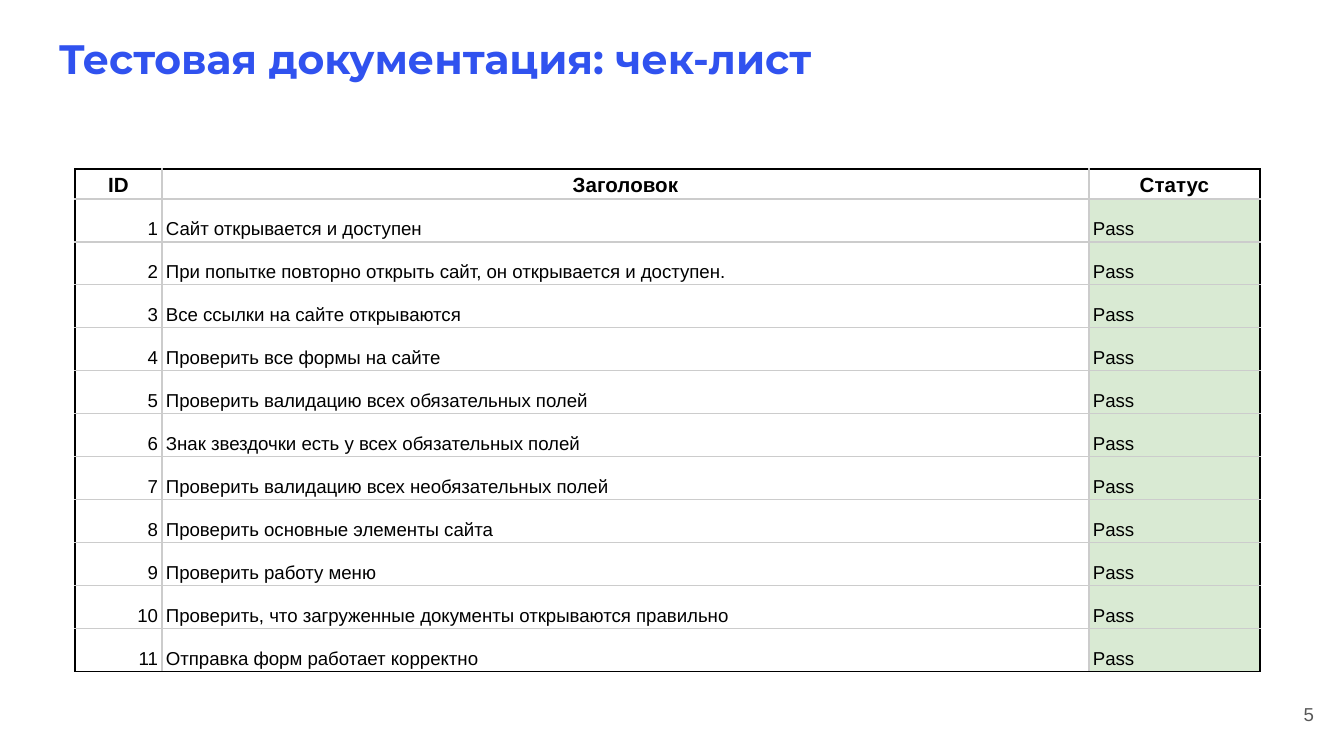
from dataclasses import dataclass

from lxml import etree
from pptx import Presentation
from pptx.dml.color import RGBColor
from pptx.enum.text import MSO_ANCHOR, PP_ALIGN
from pptx.oxml.ns import qn
from pptx.table import _Cell
from pptx.text.text import TextFrame
from pptx.util import Emu, Pt

LEFT, CENTER, RIGHT = PP_ALIGN.LEFT, PP_ALIGN.CENTER, PP_ALIGN.RIGHT
TOP, MIDDLE, BOTTOM = MSO_ANCHOR.TOP, MSO_ANCHOR.MIDDLE, MSO_ANCHOR.BOTTOM

BLUE = RGBColor(0x30, 0x52, 0xEF)
BLACK = RGBColor(0x00, 0x00, 0x00)
WHITE = RGBColor(0xFF, 0xFF, 0xFF)
GRAY = RGBColor(0x58, 0x58, 0x58)
LIGHT_GRAY = RGBColor(0xCC, 0xCC, 0xCC)
GREEN = RGBColor(0xD9, 0xEA, 0xD3)

PX_PER_INCH = 134.4
TITLE_ONLY_LAYOUT = 5
BOX_MARGIN = 13
HEADER_HEIGHT, ROW_HEIGHT = 30, 43
BORDER_WIDTH = Pt(0.75)


@dataclass(frozen=True)
class Column:
    heading: str
    width: int
    align: PP_ALIGN
    fill: RGBColor


COLUMNS = [
    Column("ID", 87, RIGHT, WHITE),
    Column("Заголовок", 927, LEFT, WHITE),
    Column("Статус", 171, LEFT, GREEN),
]
CHECKS = [
    "Сайт открывается и доступен",
    "При попытке повторно открыть сайт, он открывается и доступен.",
    "Все ссылки на сайте открываются",
    "Проверить все формы на сайте",
    "Проверить валидацию всех обязательных полей",
    "Знак звездочки есть у всех обязательных полей",
    "Проверить валидацию всех необязательных полей",
    "Проверить основные элементы сайта",
    "Проверить работу меню",
    "Проверить, что загруженные документы открываются правильно",
    "Отправка форм работает корректно",
]


def px(length: int) -> Emu:
    """Turn whole pixels into EMU."""
    return Emu(round(length * 914400 / PX_PER_INCH))


def write_text(frame: TextFrame, text: str, *, size: int, color: RGBColor,
               font: str = "Arial", bold: bool = False,
               align: PP_ALIGN = LEFT) -> None:
    """Write one formatted paragraph."""
    para = frame.paragraphs[0]
    para.alignment = align
    span = para.add_run()
    span.text = text
    span.font.name = font
    span.font.size = Pt(size)
    span.font.bold = bold
    span.font.color.rgb = color


def set_frame(frame: TextFrame, anchor: MSO_ANCHOR) -> None:
    """Set the wrapping, anchor and margins of a box."""
    frame.word_wrap = True
    frame.vertical_anchor = anchor
    frame.margin_left = frame.margin_right = px(BOX_MARGIN)
    frame.margin_top = frame.margin_bottom = px(BOX_MARGIN)


def draw_borders(cell: _Cell, outer_sides: dict[str, bool]) -> None:
    """Draw black borders on outer sides and gray ones inside."""
    properties = cell._tc.get_or_add_tcPr()
    for side, is_outer in outer_sides.items():
        line = etree.SubElement(properties, qn(f"a:ln{side}"), w=str(BORDER_WIDTH))
        fill = etree.SubElement(line, qn("a:solidFill"))
        color = BLACK if is_outer else LIGHT_GRAY
        etree.SubElement(fill, qn("a:srgbClr"), val=str(color))


def add_title(slide, text: str) -> None:
    """Place and fill the title placeholder."""
    title = slide.shapes.title
    title.left, title.top, title.width, title.height = map(px, (46, 20, 1252, 85))
    set_frame(title.text_frame, TOP)
    write_text(title.text_frame, text, size=22, color=BLUE,
               font="Montserrat", bold=True)


def add_page_number(slide, number: int) -> None:
    """Add the page number in the lower right corner."""
    box = slide.shapes.add_textbox(*map(px, (1277, 691, 50, 47)))
    set_frame(box.text_frame, MIDDLE)
    write_text(box.text_frame, str(number), size=10, color=GRAY, align=RIGHT)


def add_checklist(slide) -> None:
    """Add the checklist table."""
    rows = [[column.heading for column in COLUMNS]]
    rows += [[str(number), check, "Pass"] for number, check in enumerate(CHECKS, 1)]
    width = sum(column.width for column in COLUMNS)
    height = HEADER_HEIGHT + ROW_HEIGHT * len(CHECKS)
    table = slide.shapes.add_table(
        len(rows), len(COLUMNS), *map(px, (75, 169, width, height))).table
    table.first_row = table.horz_banding = False
    for table_column, column in zip(table.columns, COLUMNS):
        table_column.width = px(column.width)
    for row_index, texts in enumerate(rows):
        is_header = row_index == 0
        table.rows[row_index].height = px(HEADER_HEIGHT if is_header else ROW_HEIGHT)
        for column_index, (column, text) in enumerate(zip(COLUMNS, texts)):
            cell = table.cell(row_index, column_index)
            cell.vertical_anchor = BOTTOM
            cell.margin_left = cell.margin_right = px(4)
            cell.margin_top = cell.margin_bottom = px(2)
            draw_borders(cell, {
                "L": column_index == 0,
                "R": column_index == len(COLUMNS) - 1,
                "T": is_header,
                "B": row_index == len(rows) - 1,
            })
            cell.fill.solid()
            cell.fill.fore_color.rgb = WHITE if is_header else column.fill
            write_text(cell.text_frame, text, size=11 if is_header else 10,
                       color=BLACK, bold=is_header,
                       align=CENTER if is_header else column.align)


def main() -> None:
    """Build and save the deck."""
    deck = Presentation()
    deck.slide_width, deck.slide_height = px(1344), px(756)
    page = deck.slides.add_slide(deck.slide_layouts[TITLE_ONLY_LAYOUT])
    add_title(page, "Тестовая документация: чек-лист")
    add_page_number(page, 5)
    add_checklist(page)
    deck.save("out.pptx")


if __name__ == "__main__":
    main()
